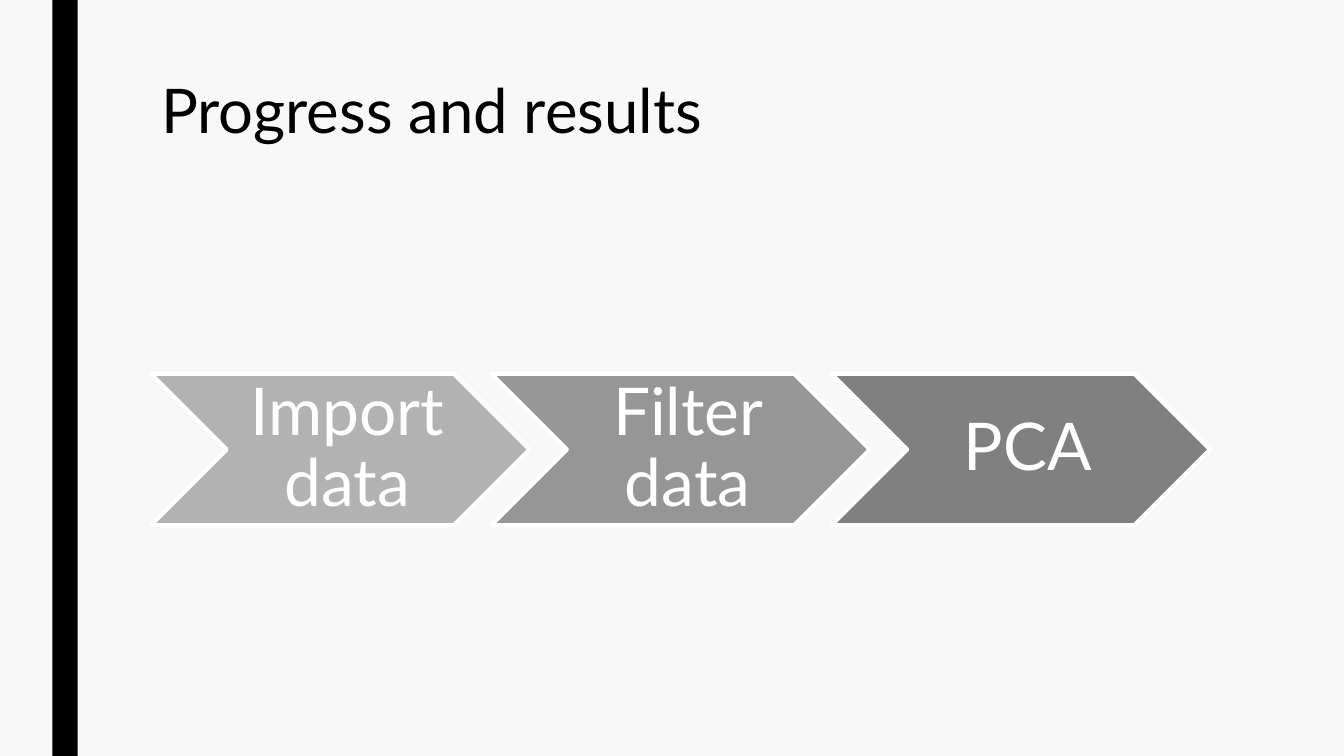
from pptx import Presentation
from pptx.dml.color import RGBColor
from pptx.enum.shapes import MSO_SHAPE
from pptx.enum.text import MSO_ANCHOR, PP_ALIGN
from pptx.util import Inches, Pt

BACKGROUND = RGBColor(0xF8, 0xF8, 0xF8)
BLACK = RGBColor(0x00, 0x00, 0x00)
WHITE = RGBColor(0xFF, 0xFF, 0xFF)
LIGHT_GREY = RGBColor(0xB2, 0xB2, 0xB2)
MID_GREY = RGBColor(0x96, 0x96, 0x96)
DARK_GREY = RGBColor(0x80, 0x80, 0x80)
FONT = "Lato"

STEPS = [("Import data", LIGHT_GREY), ("Filter data", MID_GREY), ("PCA", DARK_GREY)]


def format_text(tf, size, color, align, spacing):
    tf.word_wrap = True
    p = tf.paragraphs[0]
    p.alignment = align
    p.line_spacing = spacing
    font = p.runs[0].font
    font.name, font.size = FONT, Pt(size)
    font.color.rgb = color


def add_side_bar(s, left, top, width, height):
    bar = s.shapes.add_shape(MSO_SHAPE.RECTANGLE, Inches(left), Inches(top),
                             Inches(width), Inches(height))
    bar.shadow.inherit = False
    bar.fill.solid()
    bar.fill.fore_color.rgb = BLACK
    bar.line.fill.background()


def add_title(s, text, left, top, width, height):
    title = s.shapes.title
    title.left, title.top = Inches(left), Inches(top)
    title.width, title.height = Inches(width), Inches(height)
    tf = title.text_frame
    tf.text = text
    tf.vertical_anchor = MSO_ANCHOR.TOP
    format_text(tf, 44, BLACK, PP_ALIGN.LEFT, 0.89)


def add_process(s, steps, left, top, width, height):
    # Each chevron overlaps the next by a tenth of its width
    step_width = width / (1 + 0.9 * (len(steps) - 1))
    for i, (label, color) in enumerate(steps):
        sp = s.shapes.add_shape(MSO_SHAPE.CHEVRON,
                                Inches(left + 0.9 * step_width * i), Inches(top),
                                Inches(step_width), Inches(height))
        sp.shadow.inherit = False
        sp.fill.solid()
        sp.fill.fore_color.rgb = color
        sp.line.color.rgb = WHITE
        sp.line.width = Pt(2.75)
        tf = sp.text_frame
        tf.text = label
        tf.vertical_anchor = MSO_ANCHOR.MIDDLE
        tf.margin_left = Inches(0.21)
        tf.margin_right = tf.margin_top = tf.margin_bottom = Inches(0.07)
        format_text(tf, 47, WHITE, PP_ALIGN.CENTER, 0.9)


def main():
    prs = Presentation()
    prs.slide_width, prs.slide_height = Inches(13.33), Inches(7.5)
    s = prs.slides.add_slide(prs.slide_layouts[5])
    s.background.fill.solid()
    s.background.fill.fore_color.rgb = BACKGROUND

    # Bar at the left edge, title, then the chain of steps
    add_side_bar(s, 0.52, 0, 0.25, 7.5)
    add_title(s, "Progress and results", 1.5, 0.75, 10.5, 1.62)
    add_process(s, STEPS, 1.5, 3.71, 10.5, 1.5)
    prs.save("out.pptx")


if __name__ == "__main__":
    main()
